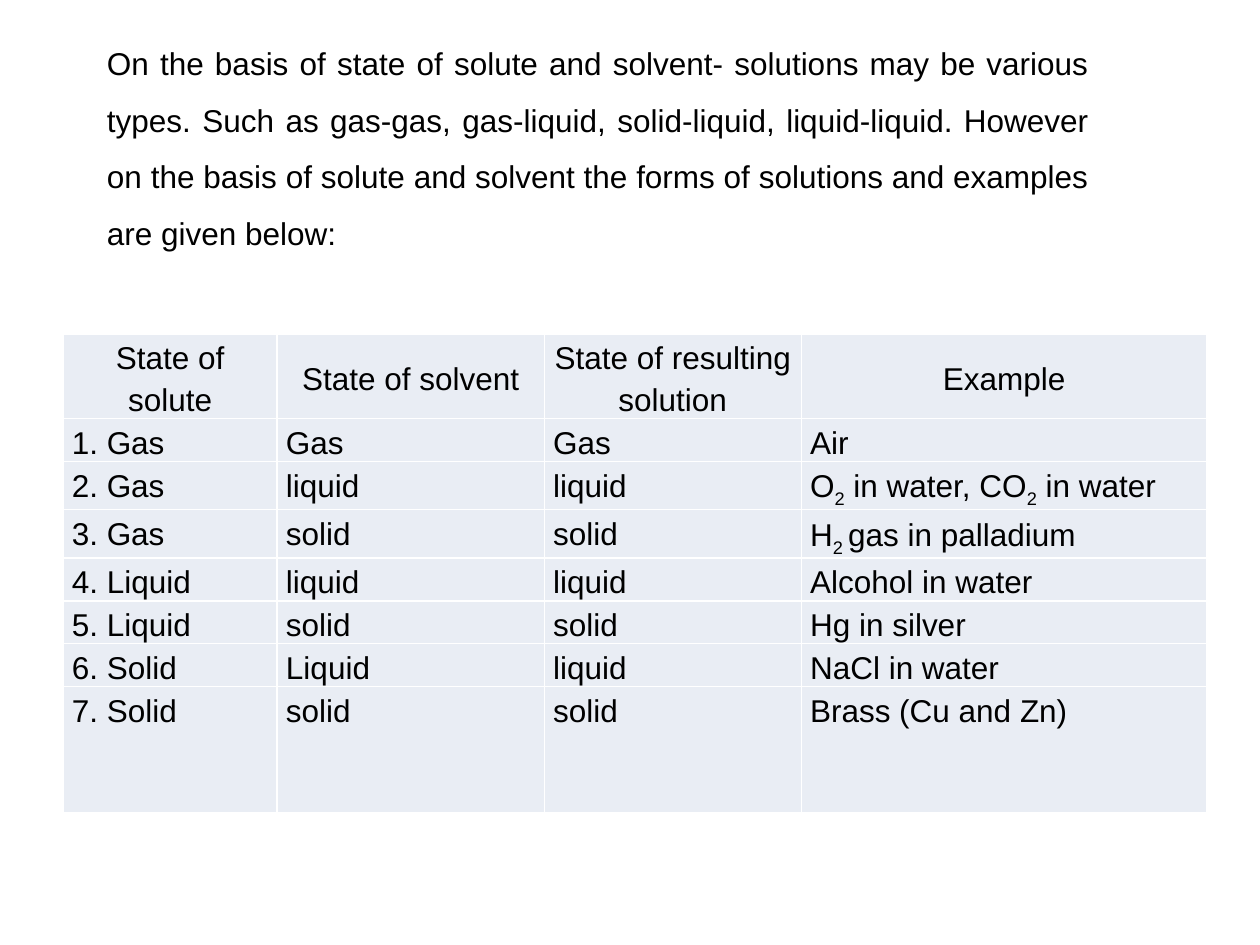
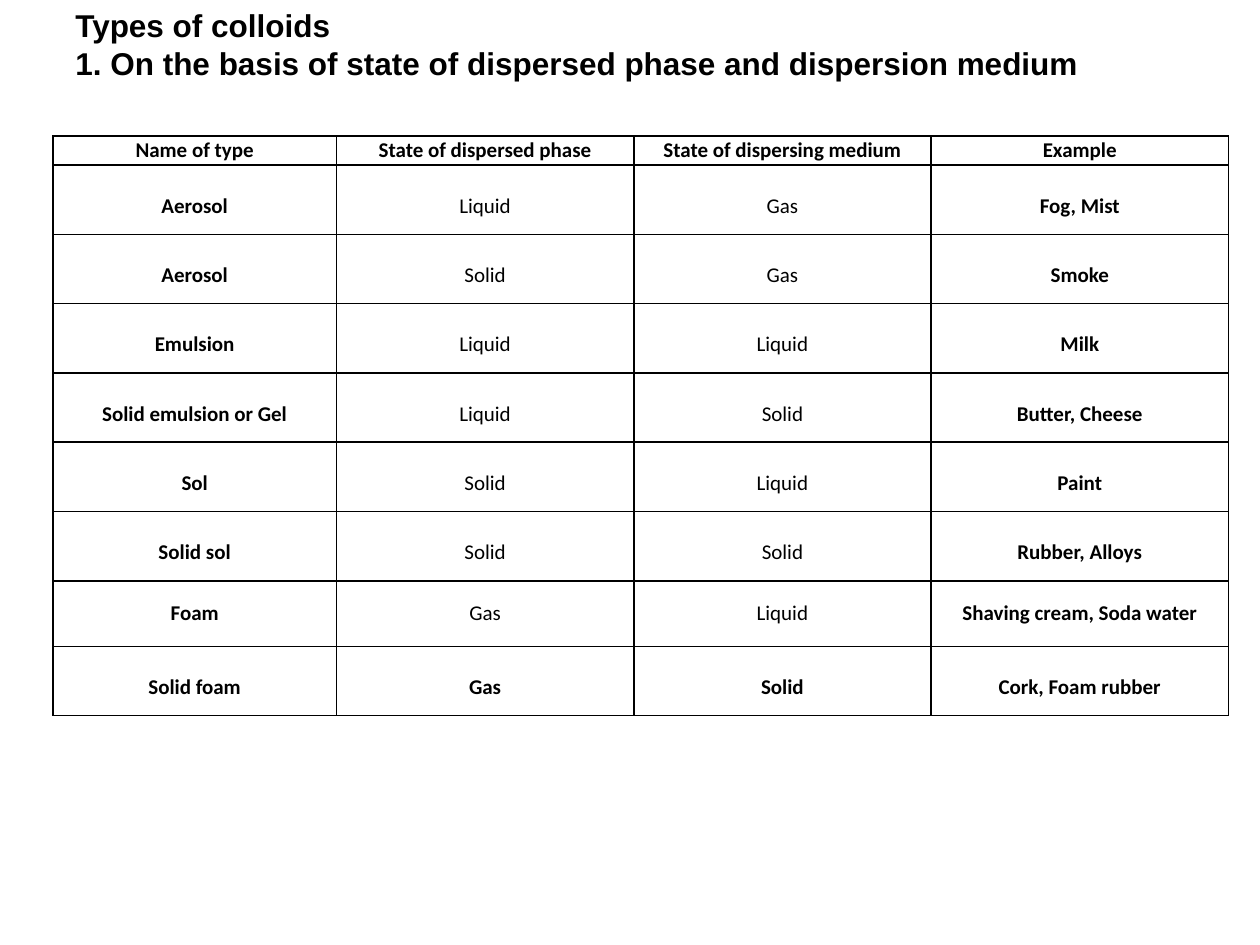
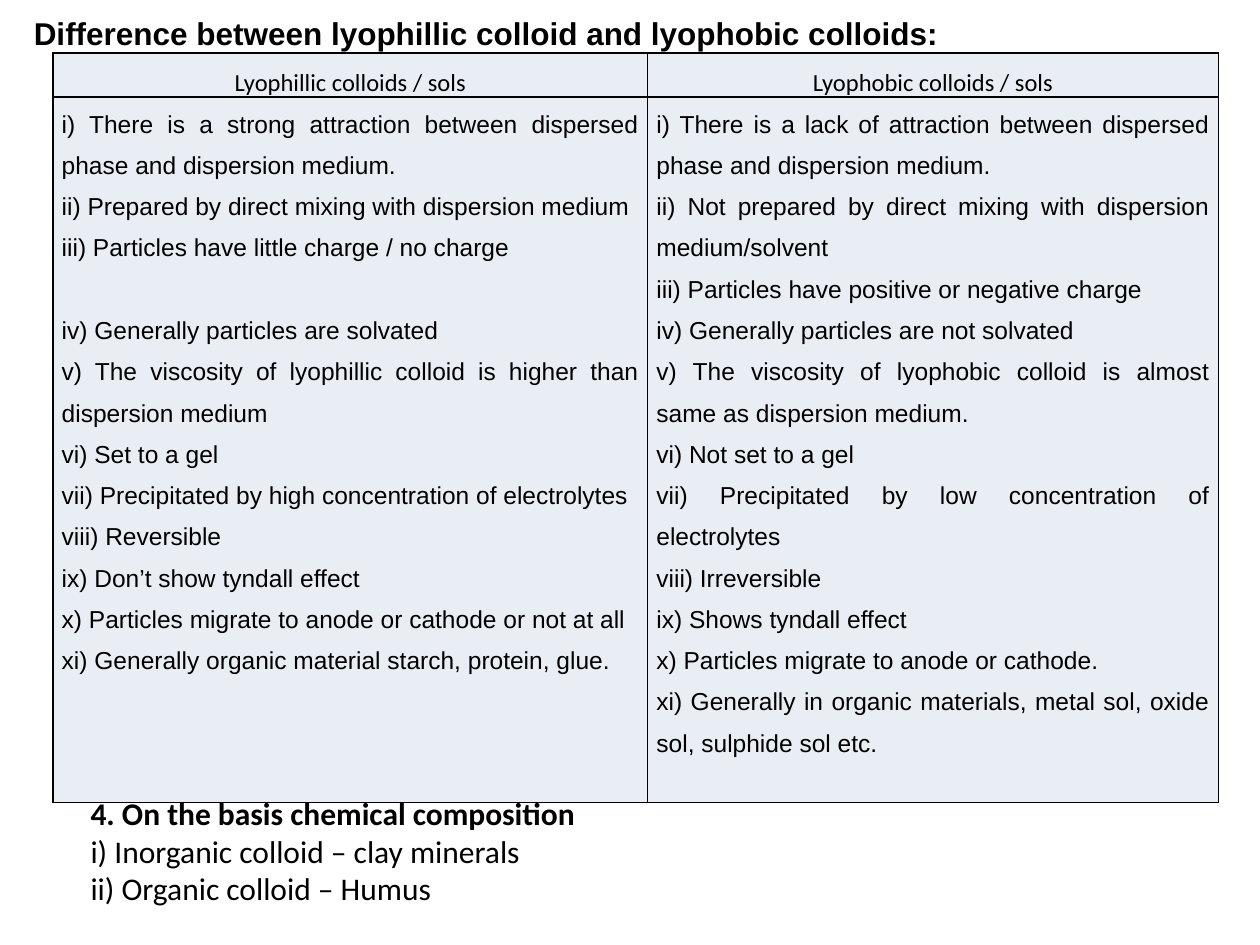
from dataclasses import dataclass

from lxml import etree
from pptx import Presentation
from pptx.dml.color import RGBColor
from pptx.enum.text import MSO_ANCHOR, PP_ALIGN
from pptx.oxml.ns import qn
from pptx.util import Inches, Pt

LEFT, CENTER, JUST = PP_ALIGN.LEFT, PP_ALIGN.CENTER, PP_ALIGN.JUSTIFY
TOP, MIDDLE = MSO_ANCHOR.TOP, MSO_ANCHOR.MIDDLE


@dataclass(frozen=True)
class Theme:
    ink: str = "000000"
    paper: str = "FFFFFF"
    tint: str = "E9EDF4"
    sans: str = "Arial"
    body: str = "Calibri"
    large: int = 18
    medium: int = 14
    small: int = 12
    pad: float = 0.07


THEME = Theme()

INTRO = (
    "On the basis of state of solute and solvent- solutions may be various types. "
    "Such as gas-gas, gas-liquid, solid-liquid, liquid-liquid. However on the basis "
    "of solute and solvent the forms of solutions and examples are given below:"
)

# Text between bars is subscript.
STATES = [
    ("State of solute", "State of solvent", "State of resulting solution", "Example"),
    ("1. Gas", "Gas", "Gas", "Air"),
    ("2. Gas", "liquid", "liquid", "O|2| in water, CO|2| in water"),
    ("3. Gas", "solid", "solid", "H|2 |gas in palladium"),
    ("4. Liquid", "liquid", "liquid", "Alcohol in water"),
    ("5. Liquid", "solid", "solid", "Hg in silver"),
    ("6. Solid", "Liquid", "liquid", "NaCl in water"),
    ("7. Solid", "solid", "solid", "Brass (Cu and Zn)"),
]

TYPES = [
    ("Name of type", "State of dispersed phase", "State of dispersing medium", "Example"),
    ("Aerosol", "Liquid", "Gas", "Fog, Mist"),
    ("Aerosol", "Solid", "Gas", "Smoke"),
    ("Emulsion", "Liquid", "Liquid", "Milk"),
    ("Solid emulsion or Gel", "Liquid", "Solid", "Butter, Cheese"),
    ("Sol", "Solid", "Liquid", "Paint"),
    ("Solid sol", "Solid", "Solid", "Rubber, Alloys"),
    ("Foam", "Gas", "Liquid", "Shaving cream, Soda water"),
    ("Solid foam", "Gas", "Solid", "Cork, Foam rubber"),
]

SOLS = {
    "Lyophillic colloids / sols": [
        "i) There is a strong attraction between dispersed phase and dispersion medium.",
        "ii) Prepared by direct mixing with dispersion medium",
        "iii) Particles have little charge / no charge",
        "iv) Generally particles are solvated",
        "v) The viscosity of lyophillic colloid is higher than dispersion medium",
        "vi) Set to a gel",
        "vii) Precipitated by high concentration of electrolytes",
        "viii) Reversible",
        "ix) Don’t show tyndall effect",
        "x) Particles migrate to anode or cathode or not at all",
        "xi) Generally organic material starch, protein, glue.",
    ],
    "Lyophobic colloids / sols": [
        "i) There is a lack of attraction between dispersed phase and dispersion medium.",
        "ii) Not prepared by direct mixing with dispersion medium/solvent",
        "iii) Particles have positive or negative charge",
        "iv) Generally particles are not solvated",
        "v) The viscosity of lyophobic colloid is almost same as dispersion medium.",
        "vi) Not set to a gel",
        "vii) Precipitated by low concentration of electrolytes",
        "viii) Irreversible",
        "ix) Shows tyndall effect",
        "x) Particles migrate to anode or cathode.",
        "xi) Generally in organic materials, metal sol, oxide sol, sulphide sol etc.",
    ],
}


def write(frame, text, font=THEME.sans, size=THEME.large, bold=False,
          align=LEFT, lead=1.0, before=0):
    """Add one paragraph, with the text between bars as subscript."""
    para = frame.add_paragraph() if frame.text else frame.paragraphs[0]
    para.alignment = align
    para.line_spacing = lead
    para.space_before = Pt(before)
    for i, part in enumerate(text.split("|")):
        run = para.add_run()
        run.text = part
        run.font.name = font
        run.font.size = Pt(size)
        run.font.bold = bold
        run.font.color.rgb = RGBColor.from_string(THEME.ink)
        if i % 2:
            run._r.get_or_add_rPr().set("baseline", "-25000")


def add_box(slide, left, top, width, height):
    box = slide.shapes.add_textbox(*map(Inches, (left, top, width, height)))
    box.text_frame.word_wrap = True
    return box.text_frame


def edge(cell, color):
    """Draw a one-point border on all four sides of a cell."""
    props = cell._tc.get_or_add_tcPr()
    for side in ("lnL", "lnR", "lnT", "lnB"):
        line = etree.SubElement(props, qn(f"a:{side}"), w=str(Pt(1)))
        fill = etree.SubElement(line, qn("a:solidFill"))
        etree.SubElement(fill, qn("a:srgbClr"), val=color)


def add_grid(slide, left, top, cols, rows, fill, line):
    """Add an empty table from its column widths and row heights."""
    frame = slide.shapes.add_table(
        len(rows), len(cols), Inches(left), Inches(top),
        Inches(sum(cols)), Inches(sum(rows)))
    table = frame.table
    table.first_row = table.horz_banding = False
    for col, width in zip(table.columns, cols):
        col.width = Inches(width)
    for row, height in zip(table.rows, rows):
        row.height = Inches(height)
    for cell in table.iter_cells():
        cell.margin_left = cell.margin_right = Inches(THEME.pad)
        cell.margin_top = cell.margin_bottom = 0
        edge(cell, line)
        cell.fill.solid()
        cell.fill.fore_color.rgb = RGBColor.from_string(fill)
    return table


def fill_cell(table, row, col, text, anchor=TOP, **style):
    cell = table.cell(row, col)
    cell.vertical_anchor = anchor
    write(cell.text_frame, text, **style)


def show_states(slide):
    rows = [0.66, 0.34, 0.38, 0.38, 0.34, 0.34, 0.34, 1.0]
    table = add_grid(slide, 0.5, 2.65, [1.7, 2.12, 2.04, 3.22], rows,
                     THEME.tint, THEME.paper)
    for r, names in enumerate(STATES):
        align, anchor = (JUST, TOP) if r else (CENTER, MIDDLE)
        for c, name in enumerate(names):
            fill_cell(table, r, c, name, anchor, align=align, lead=1.2)
    write(add_box(slide, 0.75, 0.15, 7.99, 2.32), INTRO, align=JUST, lead=1.5)


def show_types(slide):
    rows = [0.23] + [0.55] * 6 + [0.52, 0.55]
    table = add_grid(slide, 0.42, 1.08, [2.25] + [2.36] * 3, rows,
                     THEME.paper, THEME.ink)
    last = len(TYPES) - 1
    for r, names in enumerate(TYPES):
        lead = 1.0 if names[0] in ("Name of type", "Foam") else 1.5
        for c, name in enumerate(names):
            bold = r in (0, last) or c in (0, 3)
            fill_cell(table, r, c, name, MIDDLE, font=THEME.body,
                      size=THEME.small, bold=bold, align=CENTER, lead=lead)
    title = add_box(slide, 0.5, 0, 9.08, 1.01)
    write(title, "Types of colloids", bold=True)
    write(title, "1. On the basis of state of dispersed phase and dispersion medium",
          bold=True)


def show_sols(slide):
    table = add_grid(slide, 0.42, 0.42, [4.72, 4.53], [0.35, 5.4],
                     THEME.tint, THEME.ink)
    for c, (head, points) in enumerate(SOLS.items()):
        fill_cell(table, 0, c, head, font=THEME.body, size=THEME.medium,
                  align=CENTER, lead=1.5)
        for point in points:
            # Leave one line free so that point iv) is level in both columns.
            gap = 23.6 if c == 0 and point.startswith("iv)") else 0
            fill_cell(table, 1, c, point, size=THEME.medium, align=JUST,
                      lead=1.5, before=gap)
    write(add_box(slide, 0.17, 0.06, 7.67, 0.71),
          "Difference between lyophillic colloid and lyophobic colloids:", bold=True)
    notes = add_box(slide, 0.62, 6.25, 7.42, 1.01)
    write(notes, "4. On the basis chemical composition", font=THEME.body, bold=True)
    for text in ("i) Inorganic colloid – clay minerals", "ii) Organic colloid – Humus"):
        write(notes, text, font=THEME.body)


def main():
    deck = Presentation()
    deck.slide_width, deck.slide_height = Inches(10), Inches(7.5)
    for show in (show_states, show_types, show_sols):
        show(deck.slides.add_slide(deck.slide_layouts[6]))
    deck.save("out.pptx")


if __name__ == "__main__":
    main()
